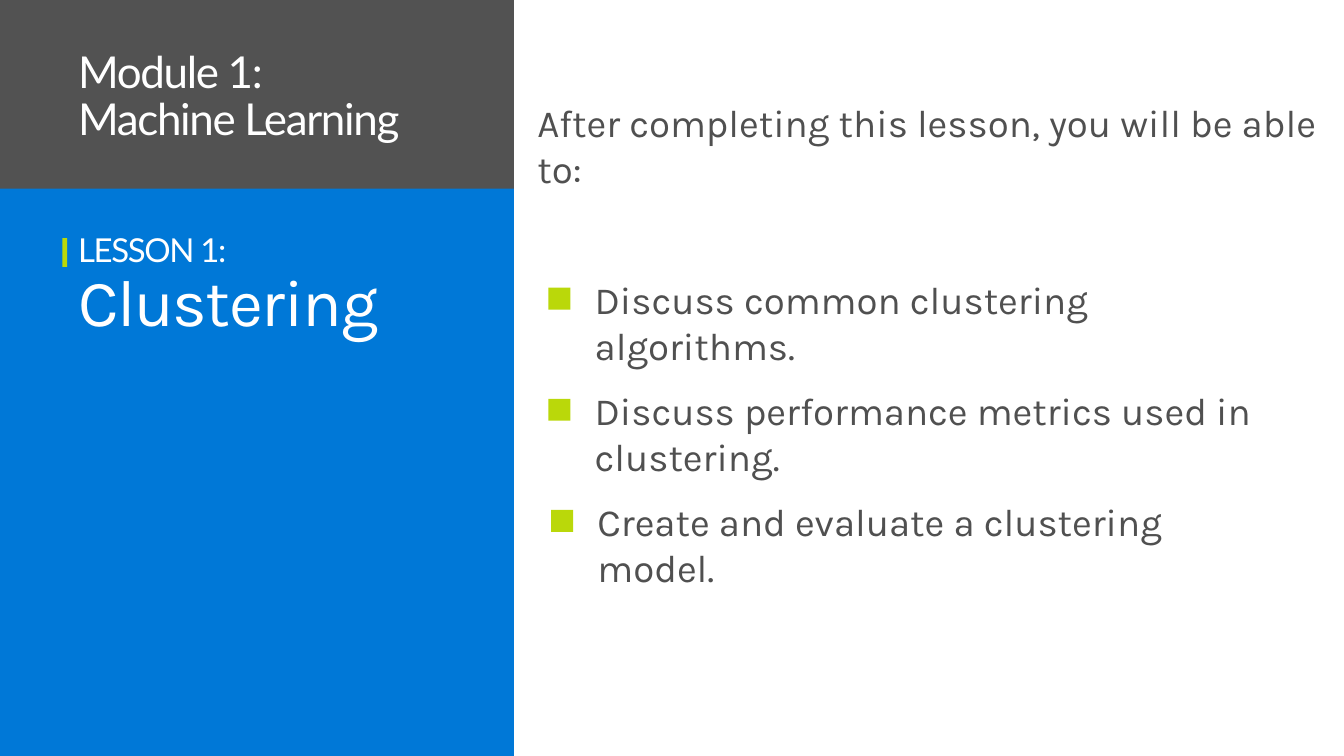
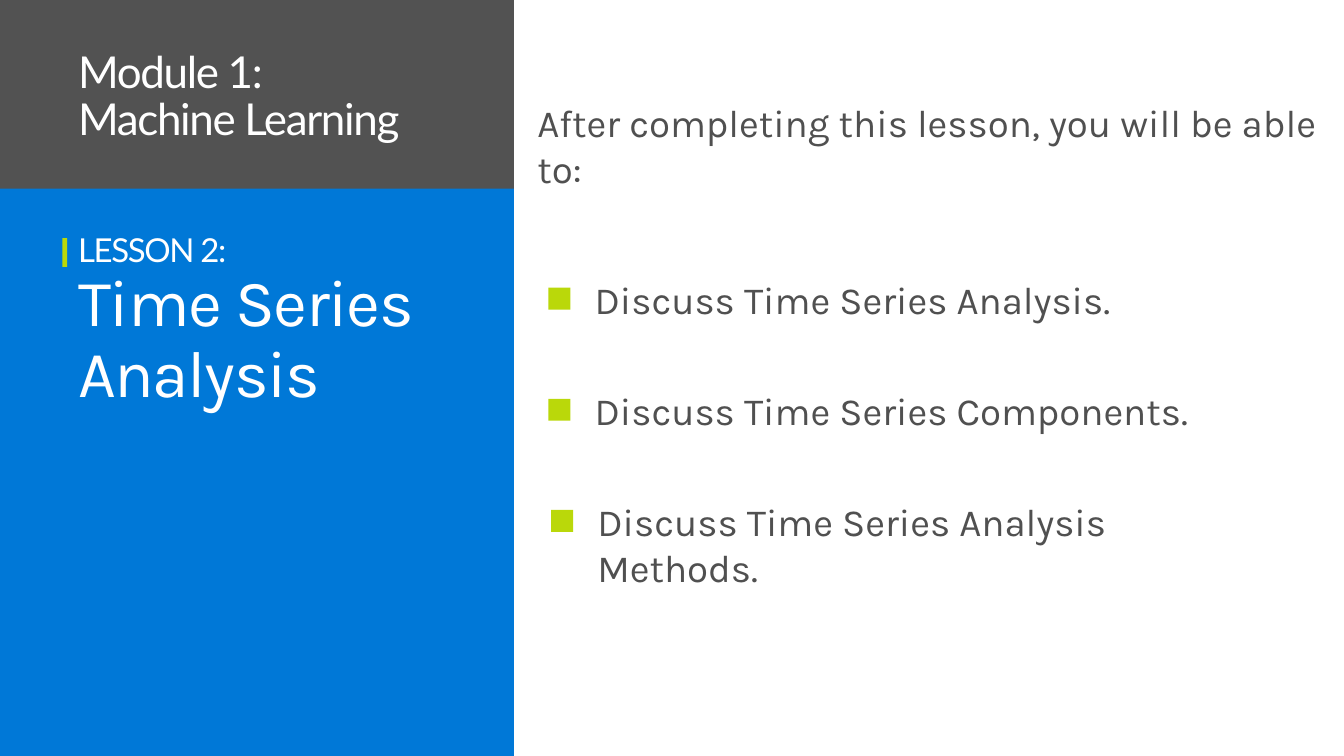
from dataclasses import dataclass

from pptx import Presentation
from pptx.dml.color import RGBColor as RGB
from pptx.enum.shapes import MSO_SHAPE as SHAPE
from pptx.enum.text import MSO_ANCHOR as ANCHOR, MSO_AUTO_SIZE as AUTO, PP_ALIGN as ALIGN
from pptx.util import Pt


@dataclass(frozen=True)
class Theme:
    blue: RGB = RGB(0x00, 0x78, 0xD7)
    gray: RGB = RGB(0x52, 0x52, 0x52)
    green: RGB = RGB(0xBA, 0xD8, 0x0A)
    white: RGB = RGB(0xFF, 0xFF, 0xFF)
    text: RGB = RGB(0x50, 0x50, 0x50)
    head_font: str = "Lato"
    body_font: str = "Karla"
    module_size: int = 32
    lesson_size: int = 24
    title_size: int = 48
    body_size: int = 28


T = Theme()
INTRO = "After completing this lesson, you will be able to:"
MODULE = ["Module 1:", "Machine Learning"]
LESSONS = [
    ("LESSON 1:", "Clustering", [
        "Discuss common clustering algorithms.",
        "Discuss performance metrics used in clustering.",
        "Create and evaluate a clustering model.",
    ]),
    ("LESSON 2:", "Time Series Analysis", [
        "Discuss Time Series Analysis.",
        "Discuss Time Series Components.",
        "Discuss Time Series Analysis Methods.",
    ]),
]
PANEL_W, BAND_H, SLIDE_H = 374.4, 137.5, 550.8
GOAL_TOP, GOAL_STEP = 197.3, 81


def add_block(shapes, x, y, w, h, color):
    sp = shapes.add_shape(SHAPE.RECTANGLE, Pt(x), Pt(y), Pt(w), Pt(h))
    sp.shadow.inherit = False
    sp.fill.solid()
    sp.fill.fore_color.rgb = color
    sp.line.fill.background()


def set_text(sp, lines, color, inset=(7.2, 3.6), spacing=None, tracking=None):
    """Fill a shape with (text, font, size) lines."""
    tf = sp.text_frame
    tf.word_wrap = True
    tf.vertical_anchor = ANCHOR.TOP
    tf.margin_left = tf.margin_right = Pt(inset[0])
    tf.margin_top = tf.margin_bottom = Pt(inset[1])
    tf.text = "\n".join(text for text, _, _ in lines)
    for p, (_, font, size) in zip(tf.paragraphs, lines):
        p.alignment = ALIGN.LEFT
        p.line_spacing = spacing
        p.font.name = font
        p.font.size = Pt(size)
        p.font.color.rgb = color
        if tracking:
            p.font._rPr.set("spc", str(tracking))


prs = Presentation()
prs.slide_width, prs.slide_height = Pt(979.2), Pt(SLIDE_H)
heading_style = dict(color=T.white, inset=(11.5, 7.2), spacing=0.9, tracking=-100)

for lesson, name, goals in LESSONS:
    s = prs.slides.add_slide(prs.slide_layouts[5])

    # Left panel with the module band and accent bar
    add_block(s.shapes, 0, 0, PANEL_W, SLIDE_H, T.blue)
    add_block(s.shapes, 0, 0, PANEL_W, BAND_H, T.gray)
    add_block(s.shapes, 45.4, 173.5, 3.6, 20.9, T.green)

    # Module name
    module = s.shapes.add_textbox(Pt(45.4), Pt(29.5), Pt(342), Pt(90))
    set_text(module, [(line, T.head_font, T.module_size) for line in MODULE],
             **heading_style)

    # Lesson title, brought in front of the panel
    title = s.shapes.title
    title.left, title.top, title.width, title.height = Pt(45.4), Pt(163), Pt(342), Pt(185)
    set_text(title, [(lesson, T.head_font, T.lesson_size),
                     (name, T.body_font, T.title_size)], **heading_style)
    title.text_frame.auto_size = AUTO.NONE
    title.element.getparent().append(title.element)

    # Introduction
    intro = s.shapes.add_textbox(Pt(384.5), Pt(68.4), Pt(594), Pt(74.5))
    set_text(intro, [(INTRO, T.body_font, T.body_size)], T.text)

    # Learning goals, each a marker grouped with its text
    for i, goal in enumerate(goals):
        x = 401.6 if i == len(goals) - 1 else 399.6
        y = GOAL_TOP + i * GOAL_STEP
        group = s.shapes.add_group_shape()
        add_block(group.shapes, x, y + 12.3, 16, 16, T.green)
        box = group.shapes.add_textbox(Pt(x + 26.6), Pt(y), Pt(507), Pt(74.5))
        set_text(box, [(goal, T.body_font, T.body_size)], T.text)

prs.save("out.pptx")
